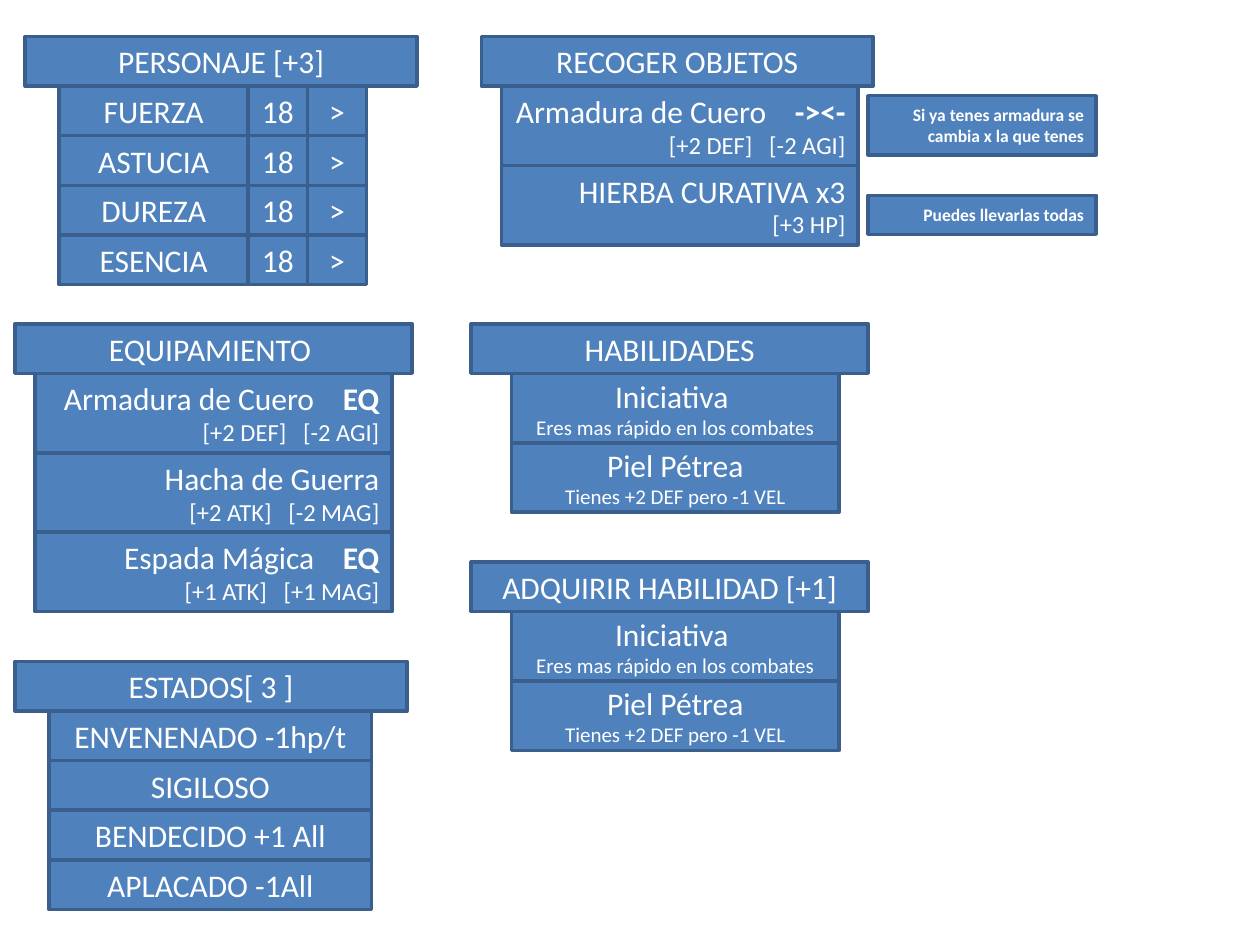
from pptx import Presentation
from pptx.dml.color import RGBColor
from pptx.enum.shapes import MSO_SHAPE
from pptx.enum.text import MSO_ANCHOR, PP_ALIGN
from pptx.util import Inches, Pt

RECT = MSO_SHAPE.RECTANGLE
MIDDLE = MSO_ANCHOR.MIDDLE
CENTER, RIGHT = PP_ALIGN.CENTER, PP_ALIGN.RIGHT

BLUE = RGBColor(0x4F, 0x81, 0xBD)
DARK_BLUE = RGBColor(0x3A, 0x5F, 0x8C)
WHITE = RGBColor(0xFF, 0xFF, 0xFF)
FONT = "Calibri"

GRID = 1 / 2.54  # one grid step, in inches
ROW = GRID
ITEM_ROW = 1.6 * GRID
SKILL_ROW = 1.4 * GRID

# Content: an item is (name, mark, effects); a skill is (name, description)
ATTRIBUTES = ["FUERZA", "ASTUCIA", "DUREZA", "ESENCIA"]
EQUIPMENT = [
    ("Armadura de Cuero", "EQ", ["[+2 DEF]", "[-2 AGI]"]),
    ("Hacha de Guerra", None, ["[+2 ATK]", "[-2 MAG]"]),
    ("Espada Mágica", "EQ", ["[+1 ATK]", "[+1 MAG]"]),
]
LOOT = [
    ("Armadura de Cuero", "-><-", ["[+2 DEF]", "[-2 AGI]"]),
    ("HIERBA CURATIVA x3", None, ["[+3 HP]"]),
]
STATES = ["ENVENENADO -1hp/t", "SIGILOSO", "BENDECIDO +1 All", "APLACADO -1All"]
SKILLS = [
    ("Iniciativa ", "Eres mas rápido en los combates"),
    ("Piel Pétrea", "Tienes +2 DEF pero -1 VEL"),
]


# A line is (size, [(text, bold), ...]); a gap is a space widened by tracking
def plain(text, size=18, bold=False):
    return size, [(text, bold)]


def attribute_row(name):
    return [[plain(name)], [plain("18")], [plain(">")]]


def state_row(name):
    return [[plain(name)]]


def skill_row(skill):
    name, description = skill
    return [[plain(name), plain(description, 12)]]


def item_row(item):
    name, mark, effects = item
    heading = [(name, False)] + ([(mark, True)] if mark else [])
    return [[(18, heading), (14, [(effect, False) for effect in effects])]]


# Panels: title, header (left, top, width), rows left, column widths,
# row height, alignment, rows
PANELS = [
    ("PERSONAJE [+3]", (0.2, 0.29, 3.11), 0.47, [1.5, 0.47, 0.47],
     ROW, CENTER, [attribute_row(a) for a in ATTRIBUTES]),
    ("EQUIPAMIENTO ", (0.12, 2.57, 3.15), 0.28, [2.83],
     ITEM_ROW, RIGHT, [item_row(i) for i in EQUIPMENT]),
    ("ESTADOS[ 3 ]", (0.12, 5.25, 3.11), 0.39, [2.56],
     ROW, CENTER, [state_row(s) for s in STATES]),
    ("RECOGER OBJETOS", (3.82, 0.29, 3.11), 3.98, [2.83],
     ITEM_ROW, RIGHT, [item_row(i) for i in LOOT]),
    ("HABILIDADES", (3.74, 2.57, 3.15), 4.06, [2.6],
     SKILL_ROW, CENTER, [skill_row(s) for s in SKILLS]),
    ("ADQUIRIR HABILIDAD [+1]", (3.74, 4.46, 3.15), 4.06, [2.6],
     SKILL_ROW, CENTER, [skill_row(s) for s in SKILLS]),
]

NOTE_LEFT, NOTE_WIDTH = 6.89, 1.81
NOTES = [  # text, top, height
    ("Si ya tenes armadura se cambia x la que tenes", 0.76, 0.47),
    ("Puedes llevarlas todas", 1.55, 0.31),
]


def add_run(paragraph, text, size, bold=False):
    run = paragraph.add_run()
    run.text = text
    style = {"name": FONT, "size": Pt(size), "bold": bold}
    for attribute, value in style.items():
        setattr(run.font, attribute, value)
    run.font.color.rgb = WHITE
    return run


def add_gap(paragraph, size):
    """Add one space whose tracking opens a gap of about two thirds of an em."""
    gap = add_run(paragraph, " ", size)
    extra = 0.68 if size == 18 else 0.45
    gap._r.get_or_add_rPr().set("spc", str(round(extra * size * 100)))


def add_box(slide, left, top, width, height, lines, alignment=CENTER):
    box = slide.shapes.add_shape(
        RECT, Inches(left), Inches(top), Inches(width), Inches(height))
    box.shadow.inherit = False
    box.fill.solid()
    box.fill.fore_color.rgb = BLUE
    box.line.color.rgb = DARK_BLUE
    box.line.width = Pt(2)
    frame = box.text_frame
    frame.word_wrap = True
    frame.vertical_anchor = MIDDLE
    for index, (size, parts) in enumerate(lines):
        paragraph = frame.add_paragraph() if index else frame.paragraphs[0]
        paragraph.alignment = alignment
        for position, (text, bold) in enumerate(parts):
            if position:
                add_gap(paragraph, size)
            add_run(paragraph, text, size, bold)


def add_panel(slide, title, header, rows_left, widths, height, alignment, rows):
    left, top, width = header
    for index, row in enumerate(rows):
        row_top = top + ROW + index * height
        for column, lines in enumerate(row):
            cell_left = rows_left + sum(widths[:column])
            add_box(slide, cell_left, row_top, widths[column], height,
                    lines, alignment)
    add_box(slide, left, top, width, ROW, [plain(title)])


def main():
    deck = Presentation()
    deck.slide_width, deck.slide_height = Inches(10), Inches(7.5)
    slide = deck.slides.add_slide(deck.slide_layouts[6])

    # Panels with their headers
    for panel in PANELS:
        add_panel(slide, *panel)

    # Side notes for the loot
    for text, top, height in NOTES:
        add_box(slide, NOTE_LEFT, top, NOTE_WIDTH, height,
                [plain(text, 10, True)], RIGHT)

    deck.save("out.pptx")


if __name__ == "__main__":
    main()
